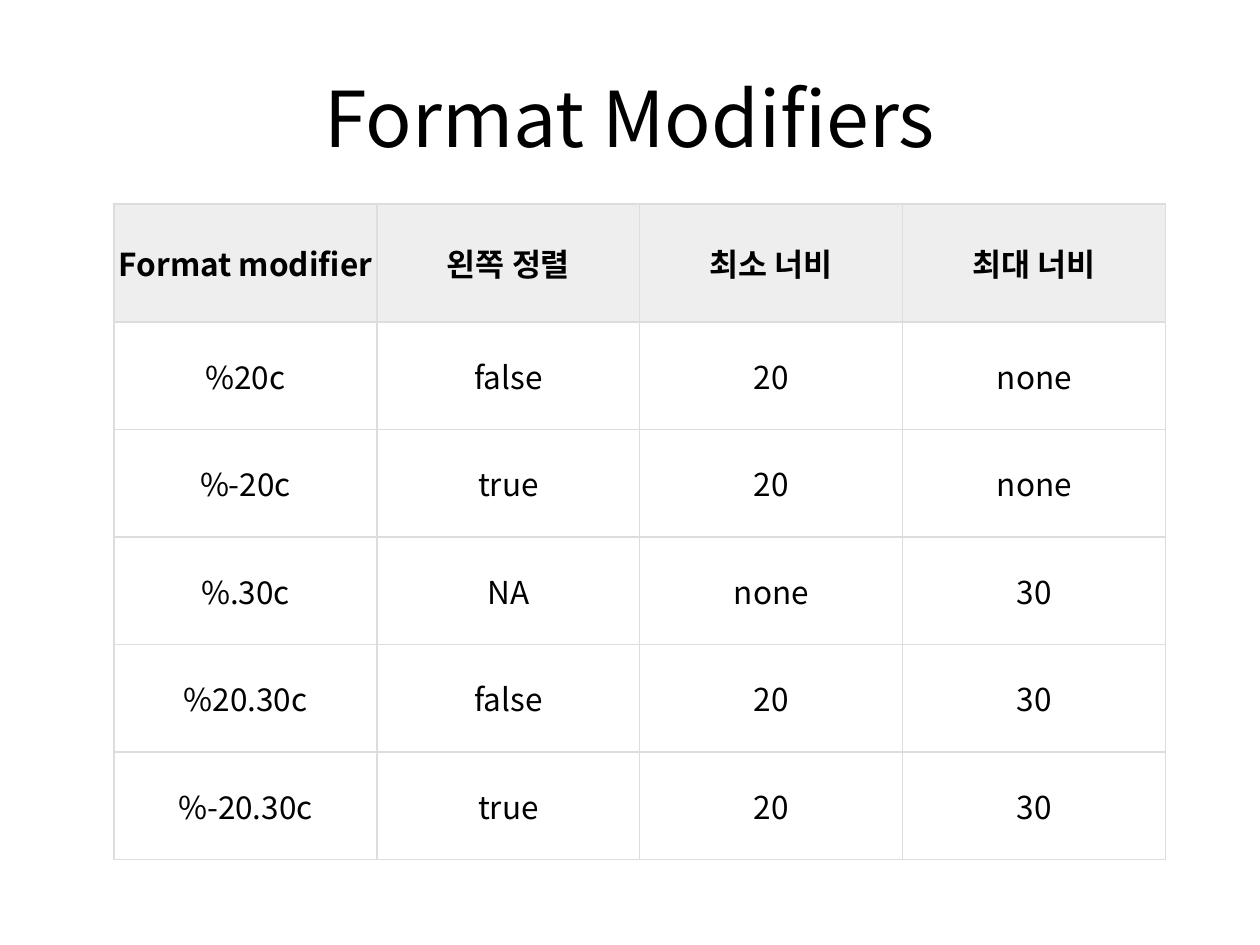
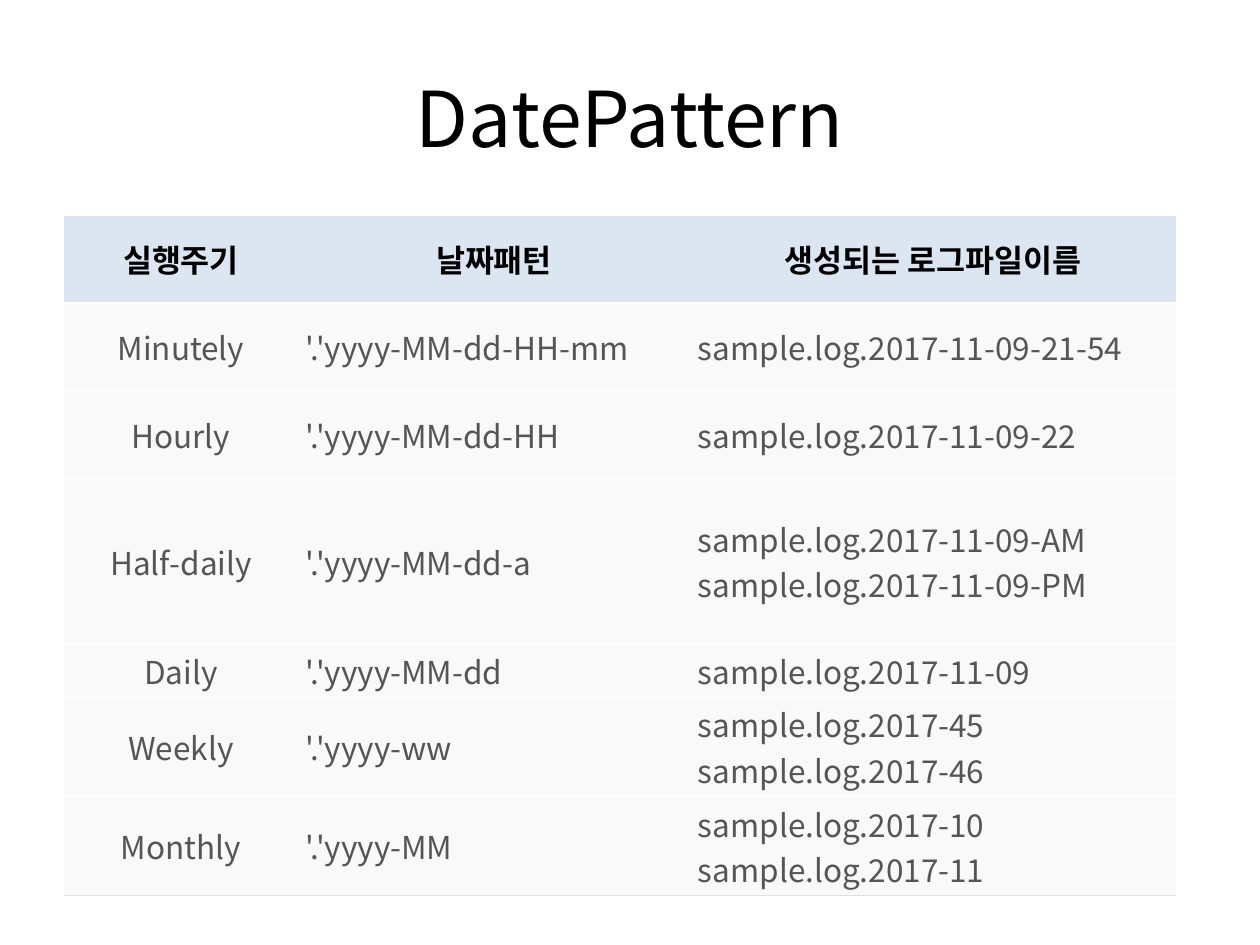
"""Build two slides with tables on log format modifiers and date patterns."""
import pptx
import pptx.dml.color
import pptx.enum.text
import pptx.oxml
import pptx.oxml.ns
import pptx.util

FONT = "Noto Sans CJK KR"
BLACK, GRAY, WHITE = "000000", "555555", "FFFFFF"
SCALE = 914400 / 126
TITLE_BOX = (63, 38, 1134, 158)
CENTER, LEFT = pptx.enum.text.PP_ALIGN.CENTER, pptx.enum.text.PP_ALIGN.LEFT
MIDDLE = pptx.enum.text.MSO_ANCHOR.MIDDLE

SLIDES = [
    dict(
        title="Format Modifiers",
        origin=(114, 204),
        cols=[263] * 4,
        heights=[118] + [107.5] * 5,
        margins=(3, 3),
        aligns=[CENTER] * 4,
        head_fill="EEEEEE", body_fill=None, body_color=BLACK,
        side="DDDDDD", rule="DDDDDD", last_rule="DDDDDD",
        rows=[
            ("Format modifier", "왼쪽 정렬", "최소 너비", "최대 너비"),
            ("%20c", "false", "20", "none"),
            ("%-20c", "true", "20", "none"),
            ("%.30c", "NA", "none", "30"),
            ("%20.30c", "false", "20", "30"),
            ("%-20.30c", "true", "20", "30"),
        ],
    ),
    dict(
        title="DatePattern",
        origin=(64, 215),
        cols=[234, 392, 486],
        heights=[88, 88, 88, 165, 49, 88, 88],
        margins=(8, 4),
        aligns=[CENTER, LEFT, LEFT],
        head_fill="DCE6F2", body_fill="F9F9F9", body_color=GRAY,
        side=None, rule=WHITE, last_rule="DFDFDF",
        rows=[
            ("실행주기", "날짜패턴", "생성되는 로그파일이름"),
            ("Minutely", "'.'yyyy-MM-dd-HH-mm", "sample.log.2017-11-09-21-54"),
            ("Hourly", "'.'yyyy-MM-dd-HH", "sample.log.2017-11-09-22"),
            ("Half-daily", "'.'yyyy-MM-dd-a",
             "sample.log.2017-11-09-AM\vsample.log.2017-11-09-PM"),
            ("Daily", "'.'yyyy-MM-dd", "sample.log.2017-11-09"),
            ("Weekly", "'.'yyyy-ww", "sample.log.2017-45\vsample.log.2017-46"),
            ("Monthly", "'.'yyyy-MM", "sample.log.2017-10\vsample.log.2017-11"),
        ],
    ),
]


def px(n):
    return pptx.util.Emu(round(n * SCALE))


def rgb(color):
    return pptx.dml.color.RGBColor.from_string(color)


def write(tf, text, size, color, align=CENTER, bold=False):
    p = tf.paragraphs[0]
    p.text = text
    p.alignment = align
    p.font.size = pptx.util.Pt(size)
    p.font.bold = bold
    p.font.color.rgb = rgb(color)
    p.font.name = FONT
    props = p._p.get_or_add_pPr().find(pptx.oxml.ns.qn("a:defRPr"))
    ns = pptx.oxml.ns.nsdecls("a")
    props.append(pptx.oxml.parse_xml(f'<a:ea {ns} typeface="{FONT}"/>'))


def set_borders(cell, **colors):
    ns = pptx.oxml.ns.nsdecls("a")
    tc_pr = cell._tc.get_or_add_tcPr()
    for i, (edge, color) in enumerate(colors.items()):
        paint = (f'<a:solidFill><a:srgbClr val="{color}"/></a:solidFill>'
                 if color else "<a:noFill/>")
        tc_pr.insert(i, pptx.oxml.parse_xml(f'<a:ln{edge} {ns} w="9525">{paint}</a:ln{edge}>'))


def add_title(s, text):
    sp = s.shapes.title
    sp.left, sp.top, sp.width, sp.height = map(px, TITLE_BOX)
    sp.text_frame.vertical_anchor = MIDDLE
    write(sp.text_frame, text, 44, BLACK)


def add_grid(s, d):
    rows, cols, heights = d["rows"], d["cols"], d["heights"]
    box = (*d["origin"], sum(cols), sum(heights))
    table = s.shapes.add_table(len(rows), len(cols), *map(px, box)).table
    table.first_row = table.horz_banding = False
    for column, width in zip(table.columns, cols):
        column.width = px(width)
    for i, row in enumerate(rows):
        table.rows[i].height = px(heights[i])
        head = i == 0
        fill = d["head_fill"] if head else d["body_fill"]
        bottom = d["last_rule"] if i == len(rows) - 1 else d["rule"]
        for j, text in enumerate(row):
            cell = table.cell(i, j)
            cell.margin_left = cell.margin_right = px(d["margins"][0])
            cell.margin_top = cell.margin_bottom = px(d["margins"][1])
            cell.vertical_anchor = MIDDLE
            if fill:
                cell.fill.solid()
                cell.fill.fore_color.rgb = rgb(fill)
            else:
                cell.fill.background()
            set_borders(cell, L=d["side"], R=d["side"], T=d["rule"], B=bottom)
            write(cell.text_frame, text, 18, BLACK if head else d["body_color"],
                  CENTER if head else d["aligns"][j], head)


prs = pptx.Presentation()
prs.slide_width, prs.slide_height = px(1260), px(945)
for d in SLIDES:
    s = prs.slides.add_slide(prs.slide_layouts[5])
    add_title(s, d["title"])
    add_grid(s, d)
prs.save("out.pptx")
